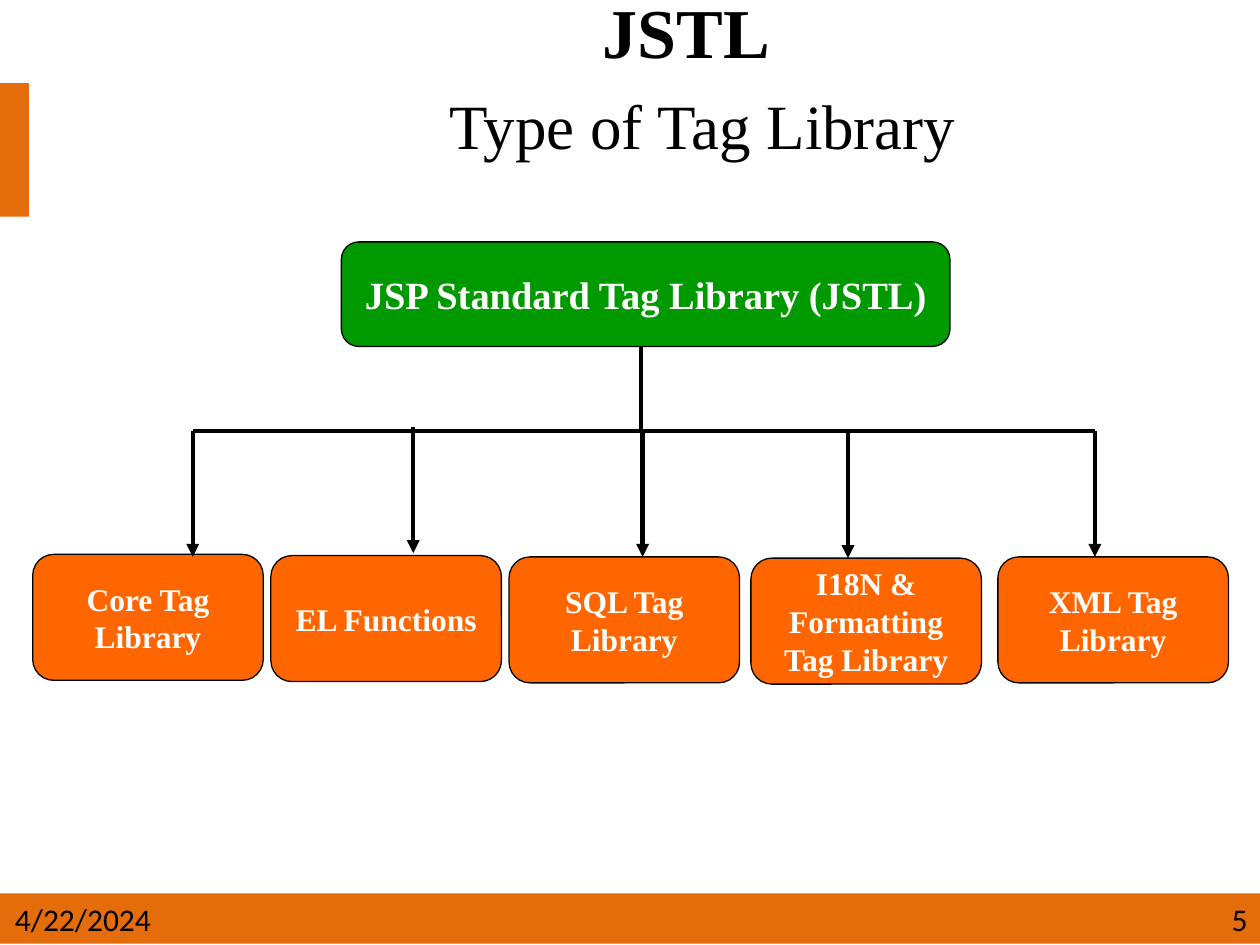
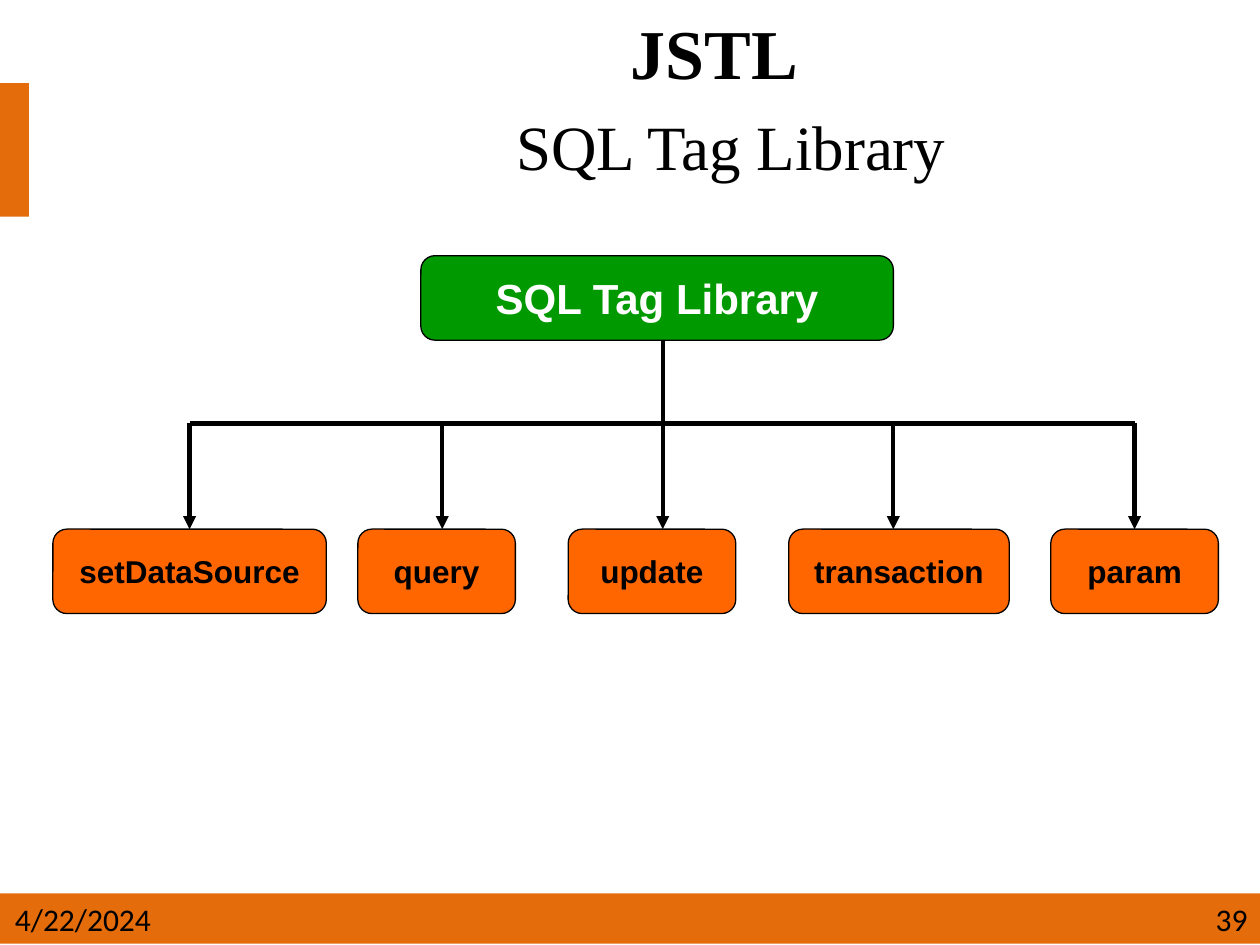
from dataclasses import dataclass
from typing import Optional

import pptx
import pptx.dml.color
import pptx.enum.shapes
import pptx.enum.text
import pptx.oxml.ns
import pptx.util
from lxml import etree
from pptx.util import Inches

# Shared look
BAND_COLOR = "E46C0A"
ROOT_COLOR = "009900"
BRANCH_COLOR = "FF6600"
BLACK = "000000"
WHITE = "FFFFFF"
SERIF = "Times New Roman"
SANS = "Arial"
FOOTER_FONT = "Calibri"
DATE = "4/22/2024"
BAND_TOP, BAND_HEIGHT = 7.09, 0.4

ALIGN = pptx.enum.text.PP_ALIGN
ANCHOR = pptx.enum.text.MSO_ANCHOR
SHAPE = pptx.enum.shapes.MSO_SHAPE


@dataclass
class Box:
    label: str
    left: float
    top: float
    width: float
    height: float

    @property
    def center(self) -> float:
        return self.left + self.width / 2

    @property
    def bottom(self) -> float:
        return self.top + self.height


@dataclass
class Branch(Box):
    drop_x: Optional[float] = None  # None: the arrow meets the middle of the top
    drop_shift: float = 0

    @property
    def arrow_x(self) -> float:
        return self.center if self.drop_x is None else self.drop_x


@dataclass
class TreeSlide:
    subtitle: str
    title_left: float
    title_height: float
    number: str
    font: str
    root_size: int
    branch_text_color: str
    root: Box
    stem_x: float
    bar_y: float
    drop_length: float
    branches: list[Branch]


def rgb(color: str) -> pptx.dml.color.RGBColor:
    return pptx.dml.color.RGBColor.from_string(color)


def add_text(paragraph, text: str, *, size: float, font: str,
             color: str = BLACK, bold: bool = False, align=ALIGN.CENTER) -> None:
    paragraph.alignment = align
    run = paragraph.add_run()
    run.text = text
    run.font.size = pptx.util.Pt(size)
    run.font.name = font
    run.font.bold = bold
    run.font.color.rgb = rgb(color)


def add_block(slide, kind, box: Box, fill: str, outlined: bool = False):
    block = slide.shapes.add_shape(kind, Inches(box.left), Inches(box.top),
                                   Inches(box.width), Inches(box.height))
    block.shadow.inherit = False
    block.fill.solid()
    block.fill.fore_color.rgb = rgb(fill)
    if outlined:
        block.line.color.rgb = rgb(BLACK)
        block.line.width = pptx.util.Pt(0.75)
    else:
        block.line.fill.background()
    return block


def add_node(slide, box: Box, fill: str, **text_format):
    node = add_block(slide, SHAPE.ROUNDED_RECTANGLE, box, fill, outlined=True)
    frame = node.text_frame
    frame.word_wrap = True
    frame.vertical_anchor = ANCHOR.MIDDLE
    add_text(frame.paragraphs[0], box.label, bold=True, **text_format)
    return node


def add_line(slide, x1: float, y1: float, x2: float, y2: float, arrow: bool = False):
    line = slide.shapes.add_connector(
        pptx.enum.shapes.MSO_CONNECTOR.STRAIGHT,
        Inches(x1), Inches(y1), Inches(x2), Inches(y2))
    line.line.color.rgb = rgb(BLACK)
    line.line.width = pptx.util.Pt(2.5)
    qn = pptx.oxml.ns.qn
    if arrow:
        etree.SubElement(line.line._get_or_add_ln(), qn("a:tailEnd"), type="triangle")
    etree.SubElement(line._element.spPr, qn("a:effectLst"))
    return line


def add_footer_text(slide, text: str, left: float, width: float, align) -> None:
    footer = slide.shapes.add_textbox(Inches(left), Inches(BAND_TOP),
                                      Inches(width), Inches(BAND_HEIGHT))
    footer.text_frame.word_wrap = True
    add_text(footer.text_frame.paragraphs[0], text, size=18, font=FOOTER_FONT, align=align)


def add_frame(slide, content: TreeSlide) -> None:
    # Side tab and bottom band
    for band in (Box("", 0, 0.66, 0.23, 1.06), Box("", 0, BAND_TOP, 10, BAND_HEIGHT)):
        add_block(slide, SHAPE.RECTANGLE, band, BAND_COLOR)
    add_footer_text(slide, DATE, 0.02, 1.52, ALIGN.LEFT)
    add_footer_text(slide, content.number, 7, 3, ALIGN.RIGHT)

    # Two-line title
    title = slide.shapes.title
    title.left, title.top = Inches(content.title_left), Inches(0)
    title.width = Inches(10 - content.title_left)
    title.height = Inches(content.title_height)
    frame = title.text_frame
    frame.auto_size = pptx.enum.text.MSO_AUTO_SIZE.NONE
    frame.vertical_anchor = ANCHOR.MIDDLE
    heading = frame.paragraphs[0]
    add_text(heading, "JSTL ", size=40, font=SERIF, bold=True)
    heading.add_line_break()
    add_text(heading, " ", size=44, font=SERIF, bold=True)
    add_text(heading, content.subtitle, size=36, font=SERIF)


def add_tree(slide, content: TreeSlide) -> None:
    root, bar_y = content.root, content.bar_y
    add_node(slide, root, ROOT_COLOR, size=content.root_size, font=content.font, color=WHITE)

    # Stem and crossbar
    add_line(slide, content.stem_x, root.bottom, content.stem_x, bar_y)
    add_line(slide, content.branches[0].arrow_x, bar_y, content.branches[-1].arrow_x, bar_y)

    # Branches with their arrows
    for branch in content.branches:
        node = add_node(slide, branch, BRANCH_COLOR, size=18, font=content.font,
                        color=content.branch_text_color)
        x, y = branch.arrow_x, bar_y + branch.drop_shift
        arrow = add_line(slide, x, y, x, y + content.drop_length, arrow=True)
        if branch.drop_x is None:
            arrow.end_connect(node, 0)


def library_branch(label: str, left: float, top: float, drop_x: float,
                   drop_shift: float = 0) -> Branch:
    return Branch(label, left, top, 1.83, 1, drop_x, drop_shift)


def action_branch(label: str, left: float, width: float,
                  drop_x: Optional[float] = None) -> Branch:
    return Branch(label, left, 4.2, width, 0.67, drop_x)


SLIDES = [
    TreeSlide(
        subtitle="Type of Tag Library", title_left=1, title_height=1.21, number="5",
        font=SERIF, root_size=22, branch_text_color=WHITE,
        root=Box("JSP Standard Tag Library (JSTL)", 2.71, 1.92, 4.83, 0.83),
        stem_x=5.09, bar_y=3.42, drop_length=1,
        branches=[
            library_branch("Core Tag Library", 0.26, 4.4, 1.53),
            library_branch("EL Functions", 2.15, 4.41, 3.28, -0.03),
            library_branch("SQL Tag Library", 4.04, 4.42, 5.1),
            library_branch("I18N & Formatting Tag Library", 5.96, 4.43, 6.73, 0.01),
            library_branch("XML Tag Library", 7.92, 4.42, 8.69),
        ]),
    TreeSlide(
        subtitle="SQL Tag Library", title_left=1.45, title_height=1.55, number="39",
        font=SANS, root_size=24, branch_text_color=BLACK,
        root=Box("SQL Tag Library", 3.34, 2.03, 3.75, 0.67),
        stem_x=5.26, bar_y=3.36, drop_length=0.84,
        branches=[
            action_branch("setDataSource", 0.42, 2.17),
            action_branch("query", 2.84, 1.25, 3.51),
            action_branch("update", 4.51, 1.33, 5.26),
            action_branch("transaction", 6.26, 1.75, 7.09),
            action_branch("param", 8.34, 1.33),
        ]),
]


def main() -> None:
    deck = pptx.Presentation()
    deck.slide_width, deck.slide_height = Inches(10), Inches(7.5)
    title_only = deck.slide_layouts[5]
    for content in SLIDES:
        slide = deck.slides.add_slide(title_only)
        add_frame(slide, content)
        add_tree(slide, content)
    deck.save("out.pptx")


if __name__ == "__main__":
    main()
